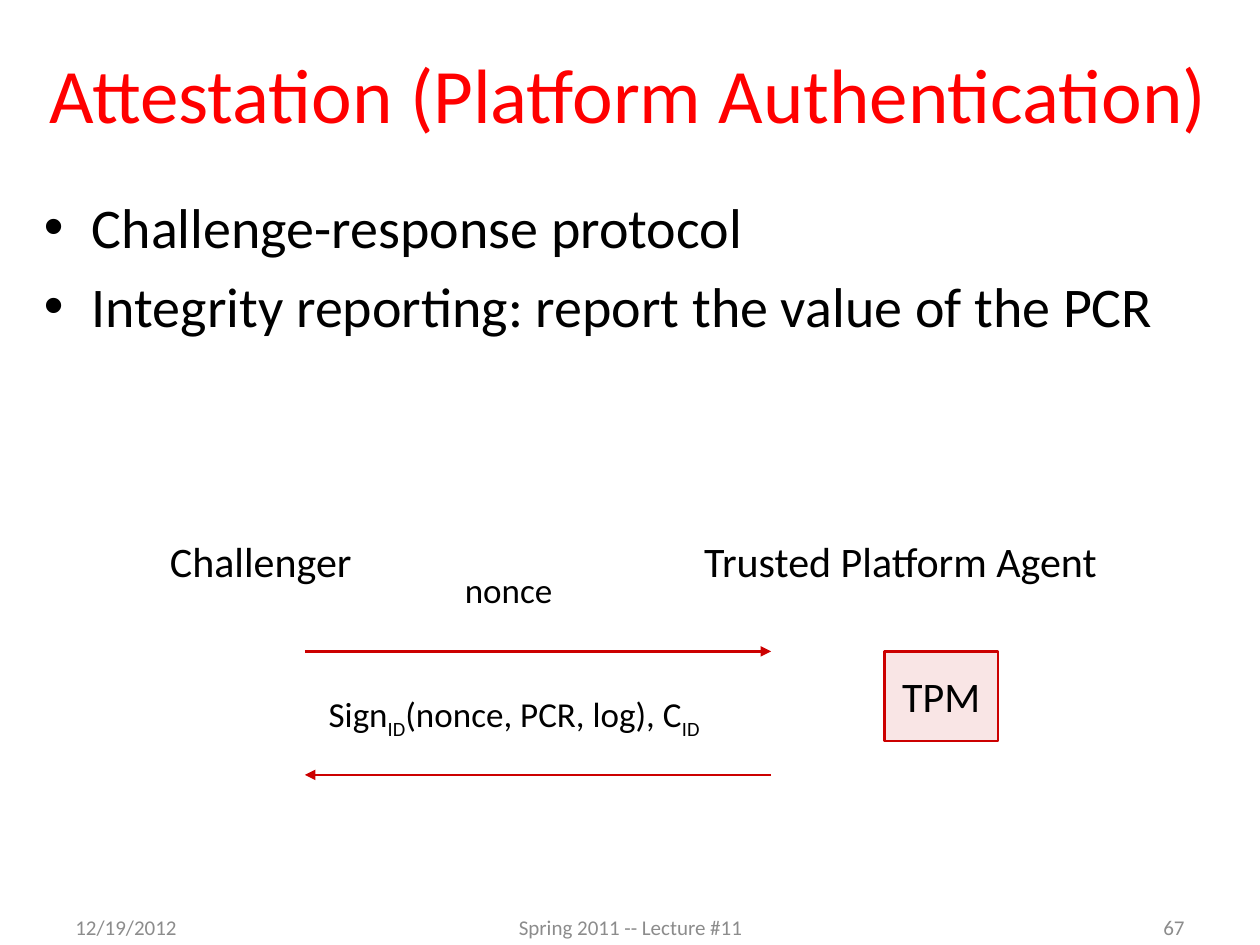
import lxml.etree
import pptx
import pptx.dml.color
import pptx.enum.shapes
import pptx.enum.text
import pptx.oxml
import pptx.oxml.ns
import pptx.util

Inches = pptx.util.Inches
Align = pptx.enum.text.PP_ALIGN
Anchor = pptx.enum.text.MSO_ANCHOR
FONT = "Calibri"
BLACK, RED, TITLE_RED, GRAY = "000000", "CC0000", "FF0000", "8C8C8C"
ARROW_LEFT, ARROW_RIGHT = 2.42, 6.12


def color(value):
    """Return an RGB colour from a hex string."""
    return pptx.dml.color.RGBColor.from_string(value)


def add_element(parent, tag, **attributes):
    """Append a DrawingML element to a parent element."""
    return lxml.etree.SubElement(parent, pptx.oxml.ns.qn(tag), attributes)


def add_run(paragraph, text, size, text_color=BLACK, subscript=False):
    """Add one formatted run to a paragraph."""
    run = paragraph.add_run()
    run.text = text
    run.font.name = FONT
    run.font.size = pptx.util.Pt(size)
    run.font.color.rgb = color(text_color)
    if subscript:
        run.font._element.set("baseline", "-25000")


def format_title(slide, text):
    """Place and fill the title placeholder."""
    title = slide.shapes.title
    title.left, title.top = Inches(0.26), Inches(0.11)
    title.width, title.height = Inches(9.46), Inches(1.25)
    title.text_frame.vertical_anchor = Anchor.MIDDLE
    paragraph = title.text_frame.paragraphs[0]
    paragraph.alignment = Align.CENTER
    add_run(paragraph, text, 44, TITLE_RED)


def add_text_box(slide, left, top, width, height):
    """Add a wrapping text box and return its text frame."""
    box = slide.shapes.add_textbox(Inches(left), Inches(top), Inches(width), Inches(height))
    box.text_frame.word_wrap = True
    return box.text_frame


def add_bullets(slide, texts):
    """Add the bulleted body text."""
    frame = add_text_box(slide, 0.25, 1.48, 9.75, 3.64)
    for index, text in enumerate(texts):
        paragraph = frame.paragraphs[0] if index == 0 else frame.add_paragraph()
        if index:
            paragraph.space_before = pptx.util.Pt(6.4)
        properties = paragraph._p.get_or_add_pPr()
        properties.set("marL", str(Inches(0.38)))
        properties.set("indent", str(-Inches(0.38)))
        add_element(properties, "a:buFont", typeface="Arial")
        add_element(properties, "a:buChar", char="•")
        add_run(paragraph, text, 32)


def add_label(slide, left, top, width, height, size, parts):
    """Add a diagram label from text and subscript pairs."""
    frame = add_text_box(slide, left, top, width, height)
    frame.auto_size = pptx.enum.text.MSO_AUTO_SIZE.SHAPE_TO_FIT_TEXT
    for text, subscript in parts:
        add_run(frame.paragraphs[0], text, size, subscript=subscript)


def add_footer(slide, left, width, alignment, text):
    """Add one gray text to the footer row."""
    frame = add_text_box(slide, left, 7.16, width, 0.4)
    frame.vertical_anchor = Anchor.MIDDLE
    frame.paragraphs[0].alignment = alignment
    add_run(frame.paragraphs[0], text, 12, GRAY)


def add_arrow(slide, start, end, y):
    """Add a horizontal message arrow."""
    arrow = slide.shapes.add_connector(
        pptx.enum.shapes.MSO_CONNECTOR.STRAIGHT, Inches(start), Inches(y), Inches(end), Inches(y))
    arrow.line.color.rgb = color(RED)
    arrow.line.width = pptx.util.Pt(1.5)
    add_element(arrow.line._get_or_add_ln(), "a:tailEnd", type="triangle")
    add_element(arrow._element.spPr, "a:effectLst")


def add_module(slide, text):
    """Add the translucent module box."""
    module = slide.shapes.add_shape(
        pptx.enum.shapes.MSO_SHAPE.RECTANGLE, Inches(7.02), Inches(5.17), Inches(0.9), Inches(0.71))
    module.shadow.inherit = False
    module.fill.solid()
    module.fill.fore_color.rgb = color(RED)
    fill_color = module._element.spPr.find(".//" + pptx.oxml.ns.qn("a:srgbClr"))
    add_element(fill_color, "a:alpha", val="10000")
    module.line.color.rgb = color(RED)
    module.line.width = pptx.util.Pt(1.5)
    module.text_frame.word_wrap = False
    module.text_frame.vertical_anchor = Anchor.MIDDLE
    paragraph = module.text_frame.paragraphs[0]
    paragraph.alignment = Align.CENTER
    add_run(paragraph, text, 24)


def main():
    """Build and save the attestation slide."""
    presentation = pptx.Presentation()
    presentation.slide_width, presentation.slide_height = Inches(10), Inches(7.5)
    slide = presentation.slides.add_slide(presentation.slide_layouts[5])
    format_title(slide, "Attestation (Platform Authentication)")
    add_bullets(slide, ["Challenge-response protocol",
                        "Integrity reporting: report the value of the PCR"])
    add_footer(slide, 0.5, 2.33, Align.LEFT, "12/19/2012")
    add_footer(slide, 3.42, 3.17, Align.CENTER, "Spring 2011 -- Lecture #11")
    add_footer(slide, 7.17, 2.33, Align.RIGHT, "67")
    add_label(slide, 1.25, 4.2, 1.71, 0.5, 24, [("Challenger", False)])
    add_label(slide, 5.49, 4.2, 3.51, 0.5, 24, [("Trusted Platform Agent", False)])
    add_arrow(slide, ARROW_LEFT, ARROW_RIGHT, 5.17)
    add_label(slide, 3.59, 4.46, 1.08, 0.44, 20, [("nonce", False)])
    add_arrow(slide, ARROW_RIGHT, ARROW_LEFT, 6.15)
    add_label(slide, 2.51, 5.45, 3.79, 0.44, 20, [
        ("Sign", False), ("ID", True), ("(nonce, PCR, log), C", False), ("ID", True)])
    add_module(slide, "TPM")
    presentation.save("out.pptx")


if __name__ == "__main__":
    main()
